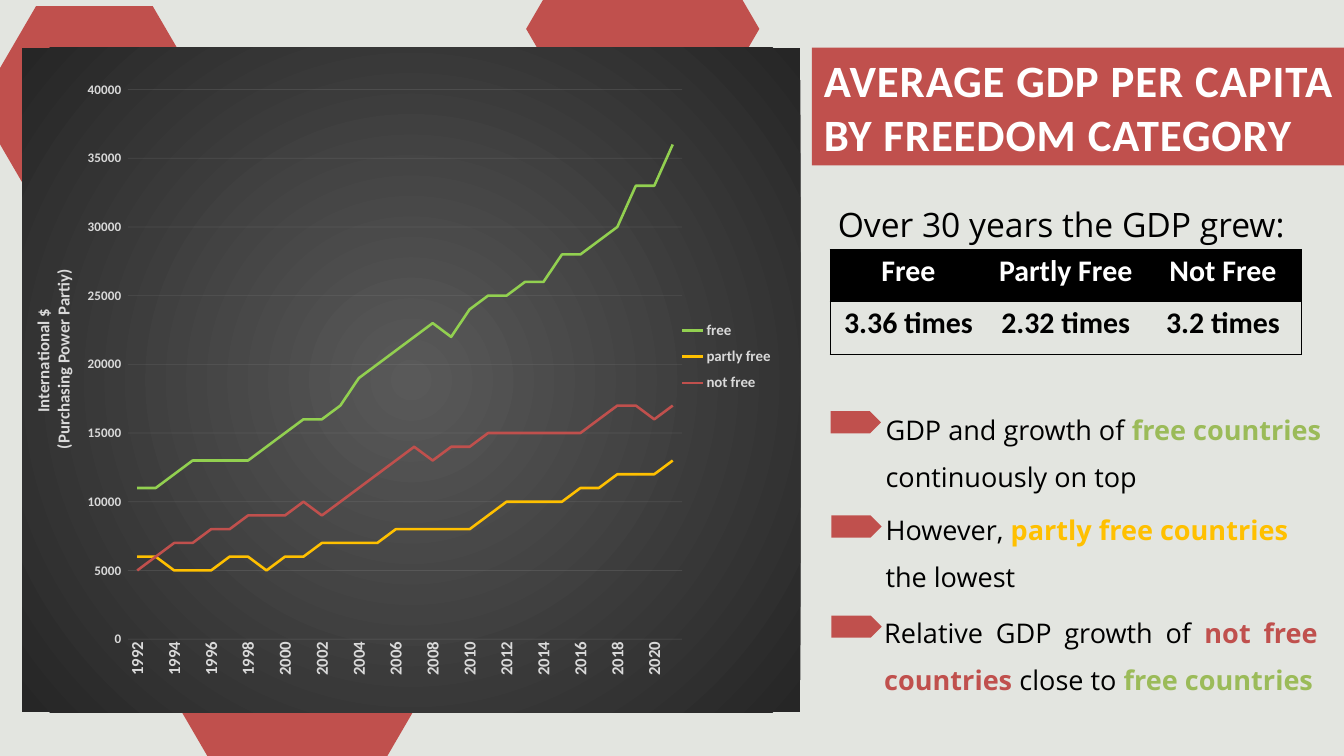
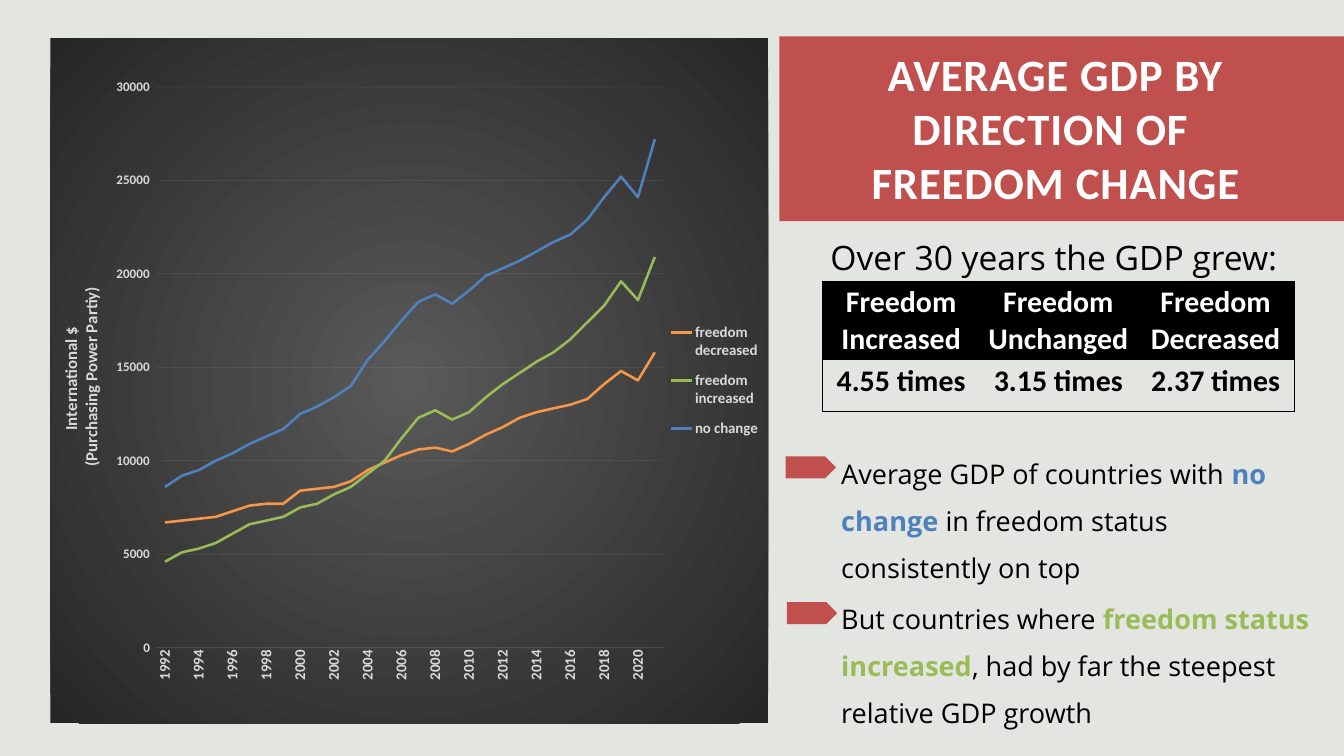
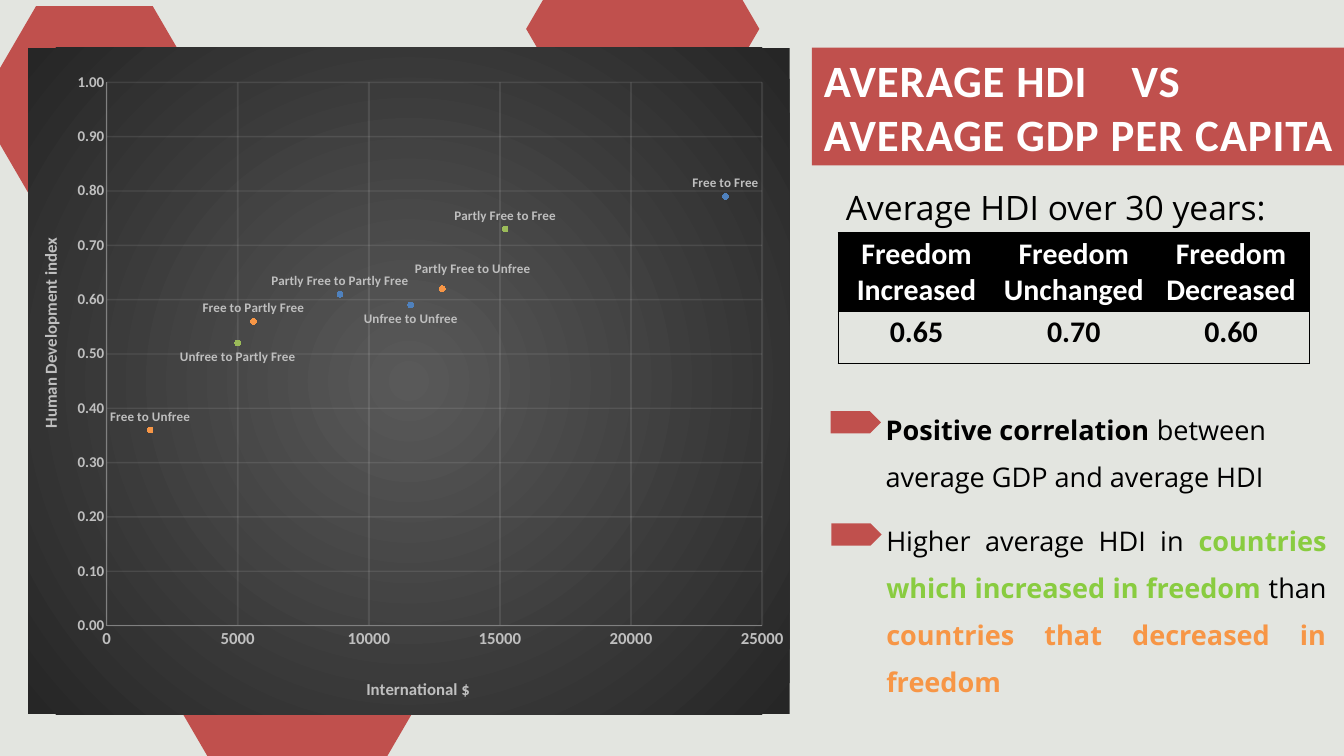
from dataclasses import dataclass

from lxml.etree import SubElement
from pptx import Presentation
from pptx.chart.data import CategoryChartData, XyChartData
from pptx.dml.color import RGBColor
from pptx.enum.chart import (XL_CHART_TYPE, XL_LABEL_POSITION, XL_LEGEND_POSITION,
                             XL_MARKER_STYLE, XL_TICK_MARK)
from pptx.enum.shapes import MSO_SHAPE
from pptx.enum.text import MSO_ANCHOR, MSO_AUTO_SIZE, PP_ALIGN
from pptx.oxml import parse_xml
from pptx.oxml.ns import nsdecls, qn
from pptx.util import Inches, Pt


@dataclass(frozen=True)
class Theme:
    page: str = "E3E5E0"
    accent: str = "C0504D"
    black: str = "000000"
    white: str = "FFFFFF"
    green: str = "9BBB59"
    bright_green: str = "92D050"
    leaf_green: str = "89CC40"
    amber: str = "FFC000"
    orange: str = "F79646"
    blue: str = "4F81BD"
    chart_center: str = "595959"
    chart_edge: str = "262626"
    chart_text: str = "D9D9D9"
    scatter_text: str = "BFBFBF"
    scatter_axis: str = "808080"
    grid: str = "F2F2F2"
    grid_alpha: int = 10
    heading_font: str = "Calibri"
    body_font: str = "Open Sans"
    title_size: int = 48
    lead_size: int = 36
    table_size: int = 32
    body_size: int = 29
    axis_title_size: int = 18
    legend_size: int = 16
    tick_size: int = 14
    label_size: int = 14
    body_leading: float = 50.4


THEME = Theme()
COLUMNS, ROWS = 20, 11.25
SLIDE_WIDTH, SLIDE_HEIGHT = Inches(20), Inches(11.25)
TITLE_ONLY = 5
PLAIN_TABLE_STYLE = "{2D5ABB26-0587-4C30-8999-92F81FD0307C}"
YEARS = [str(year) for year in range(1992, 2022)]
HEXAGON = (3.47, 2.98)
HEXAGON_CORNERS = [(1, 0.5), (0.75, 1), (0.25, 1), (0, 0.5), (0.25, 0), (0.75, 0)]
BULLET = (0.75, 0.33)


def across(columns):
    return int(SLIDE_WIDTH * columns / COLUMNS)


def down(rows):
    return int(SLIDE_HEIGHT * rows / ROWS)


def area(left, top, width, height):
    return across(left), down(top), across(width), down(height)


def rgb(color):
    return RGBColor.from_string(color)


def write(frame, paragraphs, font=THEME.heading_font, size=THEME.body_size,
          color=THEME.black, bold=False, align=None, leading=None, spacing=None):
    for index, spans in enumerate(paragraphs):
        para = frame.paragraphs[0] if index == 0 else frame.add_paragraph()
        if align is not None:
            para.alignment = align
        if leading:
            para.line_spacing = Pt(leading)
        for text, *emphasis in [spans] if isinstance(spans, tuple) else spans:
            span = para.add_run()
            span.text = text
            span.font.name = font
            span.font.size = Pt(size)
            span.font.bold = bool(emphasis) or bold
            span.font.color.rgb = rgb(emphasis[0] if emphasis else color)
            if spacing:
                span.font._element.set("spc", str(spacing * 100))


def paint(shape, color=THEME.accent):
    shape.shadow.inherit = False
    shape.fill.solid()
    shape.fill.fore_color.rgb = rgb(color)
    shape.line.fill.background()


def paint_line(line, color, width, alpha=None):
    line.color.rgb = rgb(color)
    line.width = Pt(width)
    if alpha:
        tint = line._get_or_add_ln().find(".//" + qn("a:srgbClr"))
        SubElement(tint, qn("a:alpha"), val=str(alpha * 1000))


def add_hexagon(page, left, top):
    width, height = HEXAGON
    corners = [(across(left + x * width), down(top + y * height))
               for x, y in HEXAGON_CORNERS]
    builder = page.shapes.build_freeform(*corners[0])
    builder.add_line_segments(corners[1:], close=True)
    paint(builder.convert_to_shape())


def add_title(page, lines, band, box, align=PP_ALIGN.LEFT, tab=None):
    paint(page.shapes.add_shape(MSO_SHAPE.RECTANGLE, *area(*band)))
    title = page.shapes.title
    page.shapes._spTree.append(title._element)
    title.left, title.top, title.width, title.height = area(*box)
    frame = title.text_frame
    frame.margin_left = frame.margin_right = frame.margin_top = frame.margin_bottom = 0
    frame.vertical_anchor = MSO_ANCHOR.TOP
    frame.word_wrap = True
    frame.auto_size = MSO_AUTO_SIZE.SHAPE_TO_FIT_TEXT
    if tab:
        stops = SubElement(frame.paragraphs[0]._p.get_or_add_pPr(), qn("a:tabLst"))
        SubElement(stops, qn("a:tab"), pos=str(across(tab)), algn="l")
    write(frame, [(line,) for line in lines], size=THEME.title_size,
          color=THEME.white, bold=True, align=align, spacing=1)


def add_text(page, box, paragraphs, size=THEME.body_size, align=PP_ALIGN.JUSTIFY):
    frame = page.shapes.add_textbox(*area(*box)).text_frame
    frame.word_wrap = True
    frame.auto_size = MSO_AUTO_SIZE.SHAPE_TO_FIT_TEXT
    write(frame, paragraphs, font=THEME.body_font, size=size, align=align,
          leading=THEME.body_leading)


def add_point(page, left, top, box, paragraphs, align=PP_ALIGN.JUSTIFY):
    paint(page.shapes.add_shape(MSO_SHAPE.PENTAGON, *area(left, top, *BULLET)))
    add_text(page, box, paragraphs, align=align)


def add_border(cell, side):
    properties = cell._tc.get_or_add_tcPr()
    properties.append(parse_xml(
        f'<a:{side} {nsdecls("a")} w="{Pt(0.75)}"><a:solidFill>'
        f'<a:srgbClr val="{THEME.black}"/></a:solidFill></a:{side}>'))


def add_summary(page, left, top, lead, headings, values, lead_rise=0.83):
    add_text(page, (left + 0.02, top - lead_rise, 7.4, 0.76), [(lead,)],
             size=THEME.lead_size)
    row_height, column_width = 0.78, 2.34
    last = len(headings) - 1
    table = page.shapes.add_table(2, len(headings), *area(
        left, top, column_width * len(headings), row_height * 2)).table
    table._tbl.tblPr.find(qn("a:tableStyleId")).text = PLAIN_TABLE_STYLE
    for row, texts in enumerate((headings, values)):
        for column, text in enumerate(texts):
            cell = table.cell(row, column)
            sides = {"lnL": column == 0, "lnR": column == last, "lnT": True, "lnB": row == 1}
            for side, shown in sides.items():
                if shown:
                    add_border(cell, side)
            if row == 0:
                cell.fill.solid()
                cell.fill.fore_color.rgb = rgb(THEME.black)
            else:
                cell.fill.background()
            write(cell.text_frame, [(text,)], size=THEME.table_size, bold=True,
                  color=THEME.black if row else THEME.white, align=PP_ALIGN.CENTER)


def place(parent, position, mode="edge", inner=False, **shares):
    current = parent.find(qn("c:layout"))
    if current is not None:
        parent.remove(current)
    layout = parse_xml(f'<c:layout {nsdecls("c")}><c:manualLayout/></c:layout>')
    manual = layout[0]
    if inner:
        SubElement(manual, qn("c:layoutTarget"), val="inner")
    for name in ("xMode", "yMode"):
        SubElement(manual, qn(f"c:{name}"), val=mode)
    for name, share in shares.items():
        SubElement(manual, qn(f"c:{name}"), val=str(share))
    parent.insert(position, layout)


def style_font(font, size, color):
    font.name = THEME.heading_font
    font.size = Pt(size)
    font.bold = True
    font.color.rgb = rgb(color)


def style_axis(axis, size, color, line=None, line_alpha=None, grid=None,
               tick=XL_TICK_MARK.NONE, scale=None, number_format=None):
    style_font(axis.tick_labels.font, size, color)
    axis.major_tick_mark = tick
    axis.minor_tick_mark = XL_TICK_MARK.NONE
    if line:
        paint_line(axis.format.line, line, 0.75, line_alpha)
    else:
        axis.format.line.fill.background()
    axis.has_major_gridlines = bool(grid)
    if grid:
        paint_line(axis.major_gridlines.format.line, THEME.grid, grid, THEME.grid_alpha)
    if scale:
        axis.minimum_scale = 0
        axis.maximum_scale, axis.major_unit = scale
    if number_format:
        axis.tick_labels.number_format = number_format
        axis.tick_labels.number_format_is_linked = False


def title_axis(axis, lines, color, x, y, upright=False):
    frame = axis.axis_title.text_frame
    if upright:
        frame._txBody.bodyPr.set("rot", "-5400000")
        frame._txBody.bodyPr.set("vert", "horz")
    write(frame, [(line,) for line in lines], size=THEME.axis_title_size,
          color=color, bold=True)
    place(axis.axis_title._element, 1, x=x, y=y)


def add_chart(page, kind, box, data, plot):
    chart = page.shapes.add_chart(kind, *area(*box), data).chart
    chart.has_title = False
    chart.has_legend = False
    chart.font.name = THEME.heading_font
    chart.font.size = Pt(10)
    chart.plots[0].vary_by_categories = False
    space = chart._chartSpace
    space.find(qn("c:txPr")).addprevious(parse_xml(
        f'<c:spPr {nsdecls("c", "a")}><a:gradFill><a:gsLst>'
        f'<a:gs pos="0"><a:srgbClr val="{THEME.chart_center}"/></a:gs>'
        f'<a:gs pos="100000"><a:srgbClr val="{THEME.chart_edge}"/></a:gs></a:gsLst>'
        '<a:path path="circle"><a:fillToRect l="50000" t="50000" r="50000" b="50000"/>'
        '</a:path></a:gradFill><a:ln><a:noFill/></a:ln></c:spPr>'))
    place(space.chart.plotArea, 0, inner=True, **dict(zip("xywh", plot)))
    return chart


def add_line_chart(page, box, plot, legend, axis_title, series, year_size, scale):
    data = CategoryChartData()
    data.categories = YEARS
    for name, color, values in series:
        data.add_series(name, values)
    chart = add_chart(page, XL_CHART_TYPE.LINE, box, data, plot)
    for line, (name, color, values) in zip(chart.plots[0].series, series):
        line.smooth = False
        paint_line(line.format.line, color, 2.75)
    style_axis(chart.category_axis, year_size, THEME.chart_text, line=THEME.grid,
               line_alpha=THEME.grid_alpha)
    labels = chart.category_axis._element.find(qn("c:txPr")).find(qn("a:bodyPr"))
    labels.set("rot", "-5400000")
    labels.set("vert", "horz")
    style_axis(chart.value_axis, THEME.tick_size, THEME.chart_text, grid=0.75,
               tick=XL_TICK_MARK.OUTSIDE, scale=scale, number_format="0")
    title_axis(chart.value_axis, ["International $ ", "(Purchasing Power Partiy)"],
               THEME.chart_text, *axis_title, upright=True)
    chart.has_legend = True
    chart.legend.position = XL_LEGEND_POSITION.RIGHT
    chart.legend.include_in_layout = False
    style_font(chart.legend.font, THEME.legend_size, THEME.chart_text)
    place(chart.legend._element, 1, **dict(zip("xywh", legend)))


def add_scatter_chart(page, box, plot, points):
    above, below = XL_LABEL_POSITION.ABOVE, XL_LABEL_POSITION.BELOW
    data = XyChartData()
    for name, color, gdp, hdi, *options in points:
        data.add_series(name).add_data_point(gdp, hdi)
    chart = add_chart(page, XL_CHART_TYPE.XY_SCATTER, box, data, plot)
    for series, (name, color, gdp, hdi, *options) in zip(chart.plots[0].series, points):
        series.format.line.fill.background()
        series.marker.style = XL_MARKER_STYLE.CIRCLE
        series.marker.size = 6
        series.marker.format.fill.solid()
        series.marker.format.fill.fore_color.rgb = rgb(color)
        paint_line(series.marker.format.line, color, 0.75)
        label = series.points[0].data_label
        write(label.text_frame, [(name,)], size=THEME.label_size,
              color=THEME.scatter_text, bold=True)
        label.position = below if "below" in options else above
        if "shifted" in options:
            place(label._get_or_add_dLbl(), 1, mode="factor", x=0.04, y=-0.01)
    style_axis(chart.category_axis, 18, THEME.scatter_text, line=THEME.scatter_axis,
               grid=2, scale=(25000, 5000), number_format="0")
    style_axis(chart.value_axis, 16, THEME.scatter_text, line=THEME.scatter_axis,
               grid=1.5, scale=(1, 0.1), number_format="0.00")
    title_axis(chart.category_axis, ["International $ "], THEME.scatter_text, 0.44, 0.94)
    title_axis(chart.value_axis, ["Human Development index"], THEME.scatter_text,
               0.01, 0.28, upright=True)


def add_page(deck):
    return deck.slides.add_slide(deck.slide_layouts[TITLE_ONLY])


def add_hexagon_page(deck, lines, tab=None):
    page = add_page(deck)
    add_hexagon(page, 7.83, -1.06)
    add_hexagon(page, 2.69, 9.08)
    add_title(page, lines, (12.08, 0.71, 7.92, 1.75), (12.26, 0.79, 7.74, 1.62), tab=tab)
    add_hexagon(page, -0.33, 0.09)
    return page


def build_freedom_category(deck):
    page = add_hexagon_page(deck, ["AVERAGE GDP PER CAPITA", "BY FREEDOM CATEGORY"])
    add_line_chart(
        page, (0.33, 0.71, 11.58, 9.89), (0.136, 0.063, 0.712, 0.827),
        (0.84, 0.4, 0.13, 0.13), (0.01, 0.33), [
            ("free", THEME.bright_green,
             [11000, 11000, 12000, 13000, 13000, 13000, 13000, 14000, 15000, 16000,
              16000, 17000, 19000, 20000, 21000, 22000, 23000, 22000, 24000, 25000,
              25000, 26000, 26000, 28000, 28000, 29000, 30000, 33000, 33000, 36000]),
            ("partly free", THEME.amber,
             [6000, 6000, 5000, 5000, 5000, 6000, 6000, 5000, 6000, 6000,
              7000, 7000, 7000, 7000, 8000, 8000, 8000, 8000, 8000, 9000,
              10000, 10000, 10000, 10000, 11000, 11000, 12000, 12000, 12000, 13000]),
            ("not free", THEME.accent,
             [5000, 6000, 7000, 7000, 8000, 8000, 9000, 9000, 9000, 10000,
              9000, 10000, 11000, 12000, 13000, 14000, 13000, 14000, 14000, 15000,
              15000, 15000, 15000, 15000, 15000, 16000, 17000, 17000, 16000, 17000]),
        ], 18, (40000, 5000))
    add_summary(page, 12.35, 3.71, "Over 30 years the GDP grew:",
                ["Free", "Partly Free", "Not Free"],
                ["3.36 times", "2.32 times", "3.2 times"])
    add_point(page, 12.36, 6.12, (13.08, 5.88, 6.9, 1.46),
              [[("GDP and growth of ",), ("free countries ", THEME.green)],
               ("continuously on top",)])
    add_point(page, 12.37, 7.67, (13.08, 7.38, 6.9, 1.43),
              [[("However, ",), ("partly free countries ", THEME.amber)],
               ("the lowest",)])
    add_point(page, 12.37, 9.16, (13.06, 8.91, 6.65, 1.43),
              [[("Relative GDP growth of ",), ("not free countries ", THEME.accent),
                ("close to ",), ("free countries", THEME.green)]])


def build_freedom_change(deck):
    page = add_page(deck)
    add_title(page, ["AVERAGE GDP BY DIRECTION OF ", "FREEDOM CHANGE"],
              (11.6, 0.54, 8.4, 2.75), (12, 0.7, 7.42, 2.42), align=PP_ALIGN.CENTER)
    add_line_chart(
        page, (0.75, 0.57, 10.68, 10.19), (0.148, 0.071, 0.706, 0.819),
        (0.86, 0.4, 0.13, 0.2), (0.01, 0.36), [
            ("freedom decreased", THEME.orange,
             [6700, 6800, 6900, 7000, 7300, 7600, 7700, 7700, 8400, 8500,
              8600, 8900, 9500, 9900, 10300, 10600, 10700, 10500, 10900, 11400,
              11800, 12300, 12600, 12800, 13000, 13300, 14100, 14800, 14300, 15800]),
            ("freedom increased", THEME.green,
             [4600, 5100, 5300, 5600, 6100, 6600, 6800, 7000, 7500, 7700,
              8200, 8600, 9300, 10000, 11200, 12300, 12700, 12200, 12600, 13400,
              14100, 14700, 15300, 15800, 16500, 17400, 18300, 19600, 18600, 20900]),
            ("no change", THEME.blue,
             [8600, 9200, 9500, 10000, 10400, 10900, 11300, 11700, 12500, 12900,
              13400, 14000, 15400, 16400, 17500, 18500, 18900, 18400, 19100, 19900,
              20300, 20700, 21200, 21700, 22100, 22900, 24100, 25200, 24100, 27200]),
        ], 16, (30000, 5000))
    add_summary(page, 12.24, 4.18, "Over 30 years the GDP grew:",
                ["Freedom Increased", "Freedom Unchanged", "Freedom Decreased"],
                ["4.55 times", "3.15 times", "2.37 times"], lead_rise=0.8)
    add_point(page, 11.69, 6.79, (12.42, 6.54, 7.25, 2.13),
              [[("Average GDP of countries with ",), ("no change ", THEME.blue),
                ("in freedom status consistently on top",)]], align=PP_ALIGN.LEFT)
    add_point(page, 11.71, 8.96, (12.42, 8.7, 7.25, 2.13),
              [[("But countries where ",), ("freedom status increased", THEME.green),
                (", had by far the steepest relative GDP growth",)]], align=PP_ALIGN.LEFT)


def build_development_index(deck):
    page = add_hexagon_page(deck, ["AVERAGE HDI\tVS", "AVERAGE GDP PER CAPITA"], tab=4.58)
    add_scatter_chart(page, (0.42, 0.71, 11.33, 9.92), (0.103, 0.052, 0.861, 0.815), [
        ("Free to Partly Free", THEME.orange, 5600, 0.56),
        ("Free to Unfree", THEME.orange, 1660, 0.36),
        ("Partly Free to Unfree", THEME.orange, 12800, 0.62, "shifted"),
        ("Partly Free to Free", THEME.green, 15200, 0.73),
        ("Unfree to Partly Free", THEME.green, 5000, 0.52, "below"),
        ("Free to Free", THEME.blue, 23600, 0.79),
        ("Partly Free to Partly Free", THEME.blue, 8900, 0.61),
        ("Unfree to Unfree", THEME.blue, 11600, 0.59, "below"),
    ])
    add_summary(page, 12.47, 3.46, "Average HDI over 30 years:",
                ["Freedom Increased", "Freedom Unchanged", "Freedom Decreased"],
                ["0.65", "0.70", "0.60"])
    add_point(page, 12.36, 6.12, (13.08, 5.88, 6.75, 1.43),
              [[("Positive correlation ", THEME.black),
                ("between average GDP and average HDI",)]], align=PP_ALIGN.LEFT)
    add_point(page, 12.37, 7.79, (13.09, 7.54, 6.75, 2.84),
              [[("Higher average HDI in ",),
                ("countries which increased in freedom", THEME.leaf_green), (" than ",),
                ("countries that decreased in freedom", THEME.orange)]])


def main():
    deck = Presentation()
    deck.slide_width, deck.slide_height = SLIDE_WIDTH, SLIDE_HEIGHT
    background = deck.slide_master.background.fill
    background.solid()
    background.fore_color.rgb = rgb(THEME.page)
    build_freedom_category(deck)
    build_freedom_change(deck)
    build_development_index(deck)
    deck.save("out.pptx")


if __name__ == "__main__":
    main()
